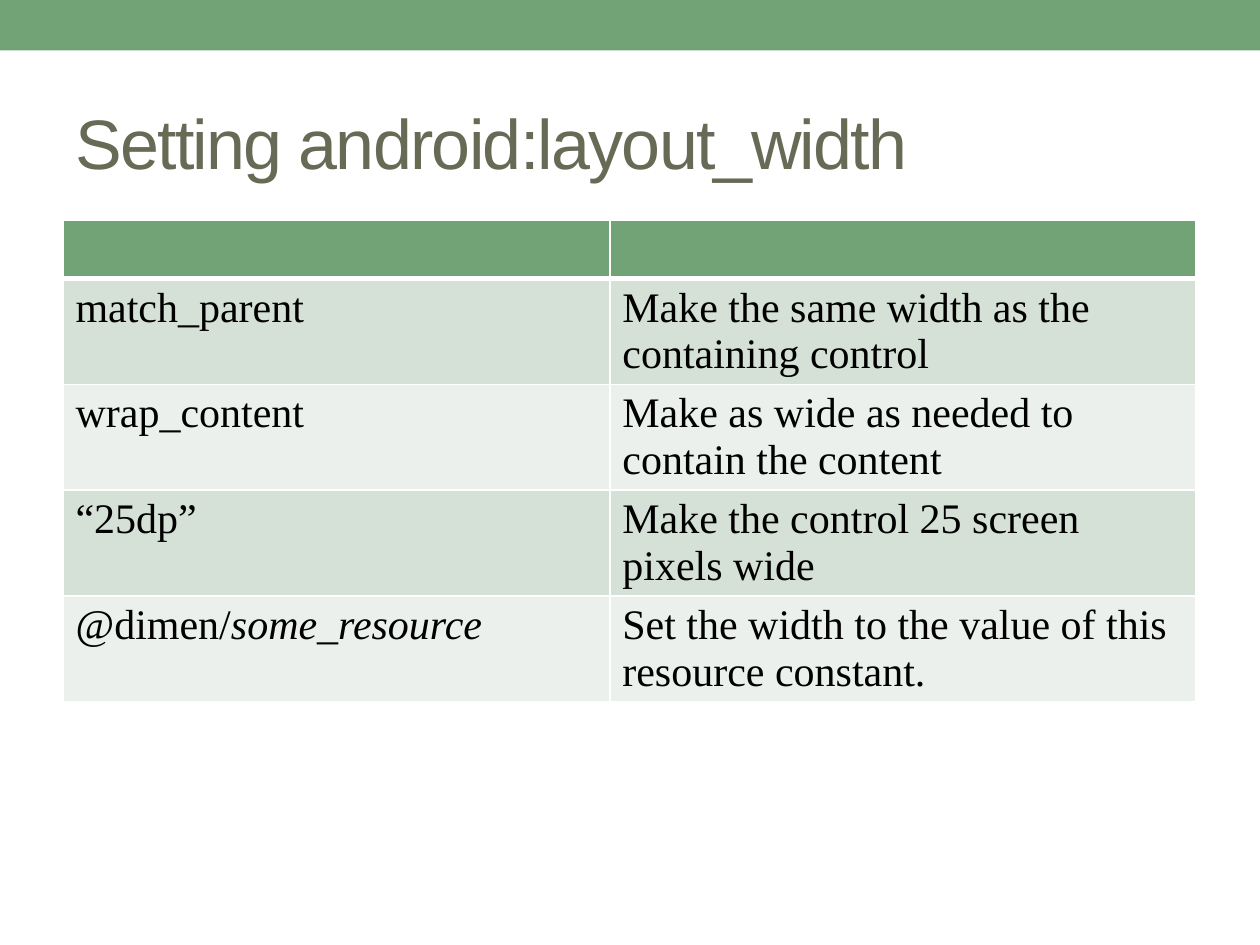
from lxml.etree import SubElement
from pptx import Presentation
from pptx.dml.color import RGBColor
from pptx.enum.shapes import MSO_SHAPE as Shape
from pptx.enum.text import MSO_ANCHOR as Anchor, PP_ALIGN as Align
from pptx.oxml.ns import qn
from pptx.util import Inches, Pt

GREEN, OLIVE, WHITE, BLACK = "72A376", "676A55", "FFFFFF", "000000"
BANDS = ["D5E0D6", "EBF0EC"]
COLUMN_WIDTHS = [4.34, 4.65]
HEADER_HEIGHT, ROW_HEIGHT = 0.46, 0.84

# Each cell is a list of (text, italic) runs.
ROWS = [
    [[("match_parent", False)],
     [("Make the same width as the containing control", False)]],
    [[("wrap_content", False)],
     [("Make as wide as needed to contain the content", False)]],
    [[("“25dp”", False)],
     [("Make the control 25 screen pixels wide", False)]],
    [[("@dimen/", False), ("some_resource", True)],
     [("Set the width to the value of this resource constant.", False)]],
]


def color(value):
    return RGBColor.from_string(value)


def fill_solid(target, value):
    target.fill.solid()
    target.fill.fore_color.rgb = color(value)


def add_text(paragraph, text, font="Times New Roman", size=24, fill=BLACK,
             italic=False, spacing=None):
    """Append a run; spacing is the letter spacing in points."""
    run = paragraph.add_run()
    run.text = text
    run.font.name = font
    run.font.size = Pt(size)
    run.font.bold = False
    run.font.italic = italic
    run.font.color.rgb = color(fill)
    if spacing is not None:
        run.font._element.set("spc", str(int(spacing * 100)))


def set_borders(cell, top=1, bottom=1):
    """Draw white borders; widths are in points."""
    properties = cell._tc.get_or_add_tcPr()
    for side, width in (("L", 1), ("R", 1), ("T", top), ("B", bottom)):
        line = SubElement(properties, qn(f"a:ln{side}"), w=str(Pt(width)))
        solid = SubElement(line, qn("a:solidFill"))
        SubElement(solid, qn("a:srgbClr"), val=WHITE)


def add_top_bar(slide, left, top, width, height):
    bar = slide.shapes.add_shape(Shape.RECTANGLE, Inches(left), Inches(top),
                                 Inches(width), Inches(height))
    bar.shadow.inherit = False
    fill_solid(bar, GREEN)
    bar.line.fill.background()


def place_title(slide, text, left, top, width, height):
    title = slide.shapes.title
    title.left, title.top = Inches(left), Inches(top)
    title.width, title.height = Inches(width), Inches(height)
    title.text_frame.vertical_anchor = Anchor.MIDDLE
    paragraph = title.text_frame.paragraphs[0]
    paragraph.alignment = Align.LEFT
    add_text(paragraph, text, font="Arial", size=40, fill=OLIVE, spacing=-1)


def add_width_table(slide, left, top):
    heights = [HEADER_HEIGHT] + [ROW_HEIGHT] * len(ROWS)
    table = slide.shapes.add_table(
        len(heights), len(COLUMN_WIDTHS), Inches(left), Inches(top),
        Inches(sum(COLUMN_WIDTHS)), Inches(sum(heights))).table
    for column, width in zip(table.columns, COLUMN_WIDTHS):
        column.width = Inches(width)
    for row, height in zip(table.rows, heights):
        row.height = Inches(height)

    for cell in table.rows[0].cells:
        set_borders(cell, bottom=3)
        fill_solid(cell, GREEN)
    for index, contents in enumerate(ROWS):
        for cell, runs in zip(table.rows[index + 1].cells, contents):
            set_borders(cell, top=3 if index == 0 else 1)
            fill_solid(cell, BANDS[index % 2])
            for text, italic in runs:
                add_text(cell.text_frame.paragraphs[0], text, italic=italic)


def main():
    presentation = Presentation()
    presentation.slide_width, presentation.slide_height = Inches(10), Inches(7.5)
    slide = presentation.slides.add_slide(presentation.slide_layouts[5])
    add_top_bar(slide, 0, 0, 10, 0.4)
    place_title(slide, "Setting android:layout_width", 0.5, 0.58, 9, 1.08)
    add_width_table(slide, 0.5, 1.75)
    presentation.save("out.pptx")


if __name__ == "__main__":
    main()
